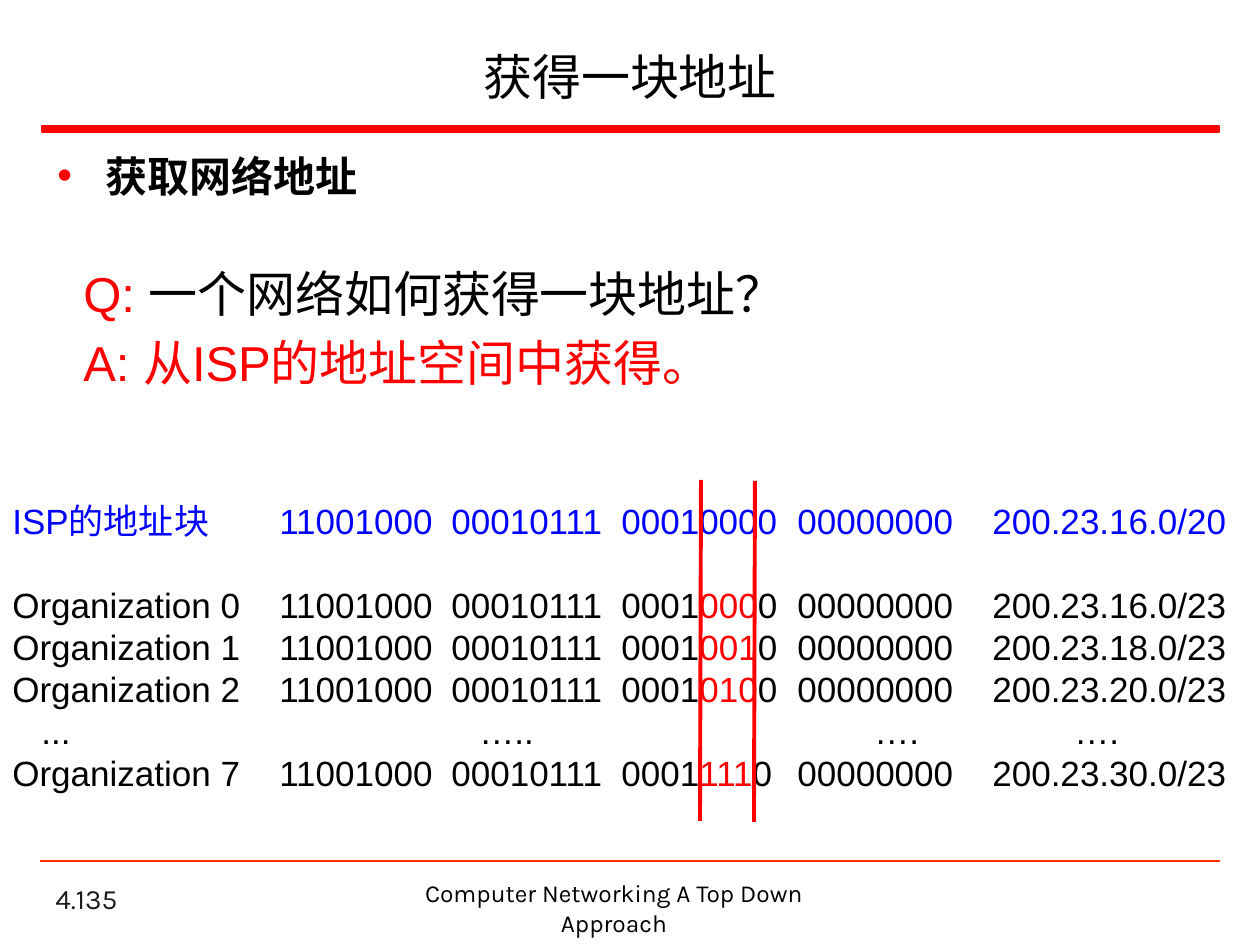
from dataclasses import dataclass

from lxml import etree
from pptx import Presentation
from pptx.dml.color import RGBColor
from pptx.enum import shapes, text
from pptx.oxml.ns import qn
from pptx.util import Pt

EMU_PER_PX = 914400 / 126
RED = RGBColor(0xFF, 0x00, 0x00)
ORANGE = RGBColor(0xFF, 0x33, 0x00)
BLUE = RGBColor(0x00, 0x00, 0xFF)
BLACK = RGBColor(0x00, 0x00, 0x00)
DARK_GREY = RGBColor(0x1C, 0x1C, 0x1C)
INSET = 13
ADDRESS_COLUMNS = (280, 452, 622, 798, 993)
ELLIPSIS_COLUMNS = (42, 480, 875, 1075)


@dataclass
class Box:
    left: int
    top: int
    width: int
    height: int


@dataclass
class Span:
    words: str
    color: RGBColor = BLACK


@dataclass
class Style:
    size: int
    font: str = "Karla"
    bold: bool = False


@dataclass
class Rule:
    """A straight line from one point to another."""
    x1: int
    y1: int
    x2: int
    y2: int
    color: RGBColor
    weight: float


def px(length: float) -> int:
    return round(length * EMU_PER_PX)


def add_text_frame(slide, box: Box, anchor=text.MSO_ANCHOR.TOP):
    shape = slide.shapes.add_textbox(px(box.left), px(box.top), px(box.width), px(box.height))
    shape.text_frame.word_wrap = True
    shape.text_frame.vertical_anchor = anchor
    return shape.text_frame


def fill_paragraph(paragraph, spans: list[Span], style: Style) -> None:
    for span in spans:
        run = paragraph.add_run()
        run.text = span.words
        run.font.size = Pt(style.size)
        run.font.name = style.font
        run.font.bold = style.bold
        run.font.color.rgb = span.color


def add_label(slide, box: Box, span: Span, style: Style,
              align=text.PP_ALIGN.CENTER, anchor=text.MSO_ANCHOR.TOP) -> None:
    paragraph = add_text_frame(slide, box, anchor).paragraphs[0]
    paragraph.alignment = align
    fill_paragraph(paragraph, [span], style)


def set_hanging_indent(paragraph, indent: int):
    properties = paragraph._p.get_or_add_pPr()
    properties.set("marL", str(px(indent)))
    properties.set("indent", str(-px(indent)))
    return properties


def add_bullet(paragraph, color: RGBColor) -> None:
    properties = set_hanging_indent(paragraph, 48)
    bullet_color = etree.SubElement(properties, qn("a:buClr"))
    etree.SubElement(bullet_color, qn("a:srgbClr"), val=str(color))
    etree.SubElement(properties, qn("a:buFont"), typeface="Arial")
    etree.SubElement(properties, qn("a:buChar"), char="•")


def add_tab_stops(paragraph, columns: tuple[int, ...]) -> None:
    tabs = etree.SubElement(paragraph._p.get_or_add_pPr(), qn("a:tabLst"))
    for column in columns:
        etree.SubElement(tabs, qn("a:tab"), pos=str(px(column - INSET)), algn="l")


def add_rule(slide, rule: Rule) -> None:
    line = slide.shapes.add_connector(shapes.MSO_CONNECTOR.STRAIGHT,
                                      px(rule.x1), px(rule.y1), px(rule.x2), px(rule.y2))
    line.line.color.rgb = rule.color
    line.line.width = Pt(rule.weight)
    etree.SubElement(line._element.spPr, qn("a:effectLst"))


def add_title_bar(slide) -> None:
    bar = slide.shapes.add_shape(shapes.MSO_SHAPE.RECTANGLE, px(42), px(126), px(1177), px(6))
    bar.shadow.inherit = False
    bar.fill.solid()
    bar.fill.fore_color.rgb = RED
    bar.line.color.rgb = RED
    bar.line.width = Pt(1)


def add_question(slide) -> None:
    frame = add_text_frame(slide, Box(71, 257, 829, 164))
    lines = [
        [Span("Q: ", RED), Span("一个网络如何获得一块地址？")],
        [Span("A: 从ISP的地址空间中获得。", RED)],
    ]
    for index, spans in enumerate(lines):
        paragraph = frame.paragraphs[0] if index == 0 else frame.add_paragraph()
        set_hanging_indent(paragraph, 48)
        paragraph.line_spacing = Pt(34)
        if index:
            paragraph.space_before = Pt(5)
        fill_paragraph(paragraph, spans, Style(28, "Arial"))


def organization_row(number: int) -> list[Span]:
    """Each organization takes one /23 block, numbered by three bits."""
    return [
        Span(f"Organization {number}\t11001000\t00010111\t0001"),
        Span(f"{number:03b}", RED),
        Span(f"0\t00000000\t200.23.{16 + 2 * number}.0/23"),
    ]


def add_address_blocks(slide) -> None:
    frame = add_text_frame(slide, Box(0, 493, 1245, 352))
    isp = [Span("ISP的地址块\t11001000\t00010111\t00010000\t00000000\t200.23.16.0/20", BLUE)]
    ellipsis = [Span("\t...\t…..\t….\t….")]
    rows = [isp, *map(organization_row, range(3)), ellipsis, organization_row(7)]
    for index, spans in enumerate(rows):
        paragraph = frame.paragraphs[0] if index == 0 else frame.add_paragraph()
        add_tab_stops(paragraph, ELLIPSIS_COLUMNS if spans is ellipsis else ADDRESS_COLUMNS)
        paragraph.line_spacing = Pt(24)
        if index == 1:
            paragraph.space_before = Pt(24)
        fill_paragraph(paragraph, spans, Style(20, "Arial"))


def main() -> None:
    presentation = Presentation()
    presentation.slide_width = px(1260)
    presentation.slide_height = px(945)
    slide = presentation.slides.add_slide(presentation.slide_layouts[6])

    add_label(slide, Box(43, 879, 262, 42), Span("4.135", DARK_GREY), Style(16),
              text.PP_ALIGN.LEFT, text.MSO_ANCHOR.BOTTOM)
    add_title_bar(slide)
    add_rule(slide, Rule(40, 861, 1220, 861, ORANGE, 1.5))
    add_label(slide, Box(357, 872, 514, 43),
              Span("Computer Networking A Top Down Approach"), Style(14))
    add_label(slide, Box(47, 32, 1166, 88), Span("获得一块地址"), Style(28),
              anchor=text.MSO_ANCHOR.MIDDLE)

    heading = add_text_frame(slide, Box(45, 144, 1169, 706)).paragraphs[0]
    add_bullet(heading, RED)
    fill_paragraph(heading, [Span("获取网络地址")], Style(24, bold=True))

    add_question(slide)
    add_address_blocks(slide)
    for left, top in ((700, 480), (754, 481)):
        add_rule(slide, Rule(left + 1, top, left, top + 341, RED, 2.25))

    presentation.save("out.pptx")


if __name__ == "__main__":
    main()
